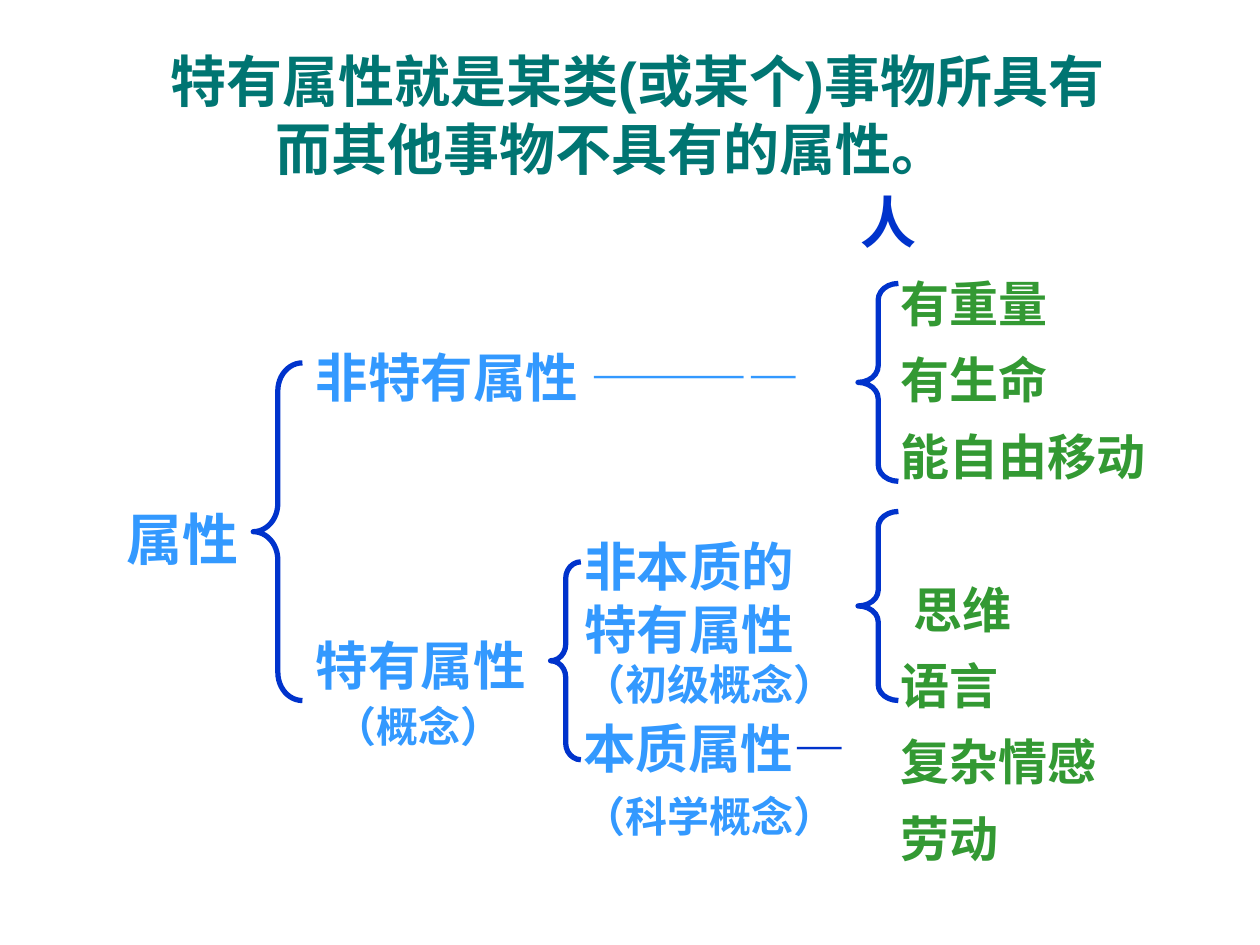
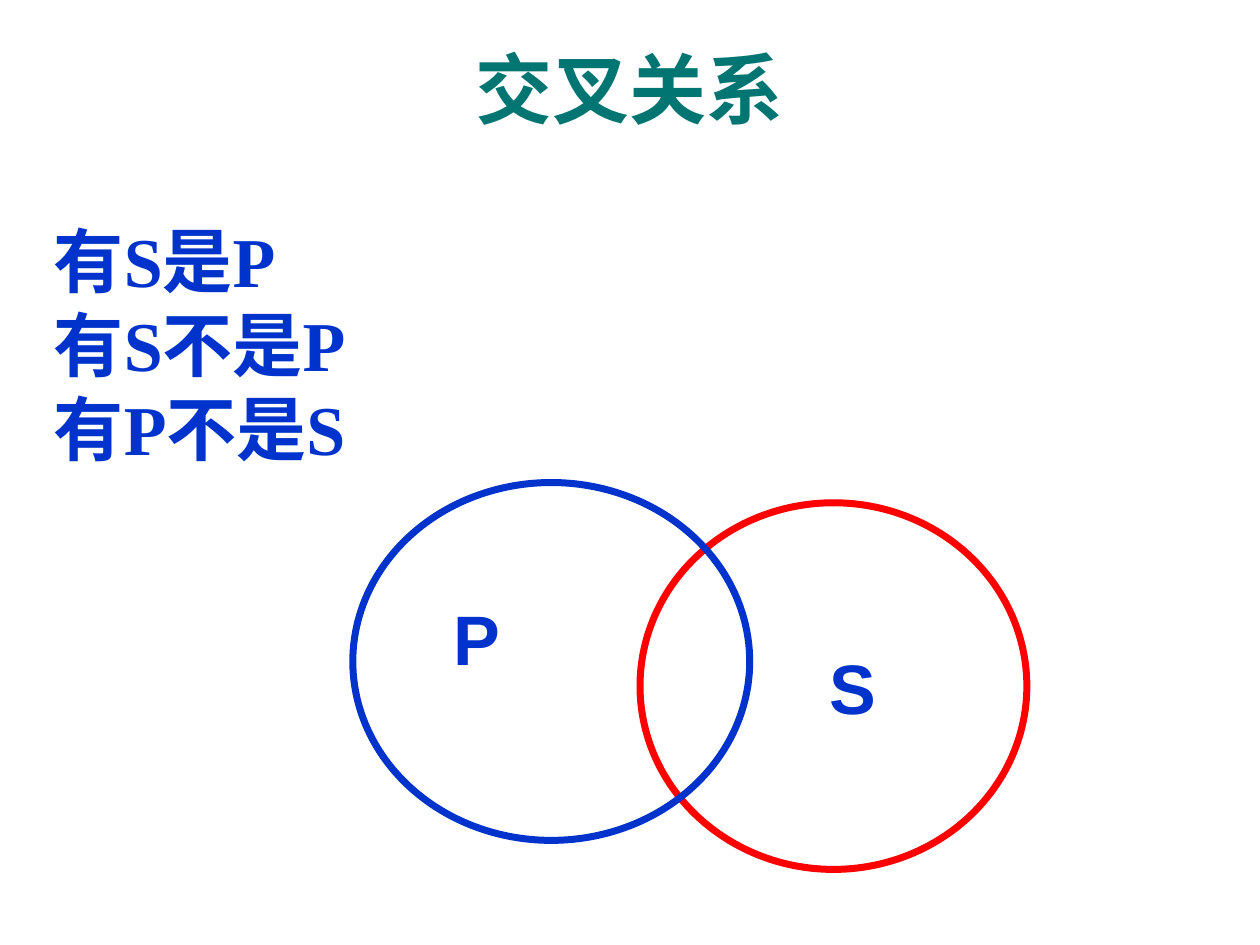
import pptx
import pptx.util
import pptx.dml.color
import pptx.enum.shapes
import pptx.enum.text
import lxml.etree

Inches, Pt = pptx.util.Inches, pptx.util.Pt
SHAPE = pptx.enum.shapes.MSO_SHAPE
ALIGN = pptx.enum.text.PP_ALIGN
ANCHOR = pptx.enum.text.MSO_ANCHOR
FIT = pptx.enum.text.MSO_AUTO_SIZE
HANS, SERIF, SANS = "Noto Sans CJK SC", "Times New Roman", "Arial"
HUES = {"teal": "007572", "navy": "0033CC", "sky": "3399FF",
        "green": "339933", "red": "FF0000"}


def color(name):
    return pptx.dml.color.RGBColor.from_string(HUES[name])


def write(para, text, size, hue, face=SERIF):
    """Add one bold run, with its Chinese glyphs set in HANS."""
    run = para.add_run()
    run.text = text
    run.font.size, run.font.bold, run.font.name = Pt(size), True, face
    run.font.color.rgb = color(hue)
    tag = pptx.oxml.ns.qn("a:ea")
    lxml.etree.SubElement(run.font._element, tag).set("typeface", HANS)


deck = pptx.Presentation()
deck.slide_width, deck.slide_height = Inches(10), Inches(7.5)

# Slides and titles: place, size, font, lines of (text, left and right margin)
titles = [
    ((0.67, 0.28, 8.5, 1.25), 32, SANS,
     [("特有属性就是某类(或某个)事物所具有", 0.28, 0),
      ("而其他事物不具有的属性。", 0, 0.13)]),
    ((0.33, 0, 9.34, 1.39), 44, SERIF, [("交叉关系", 0, 0)]),
]
slides = []
for place, size, face, lines in titles:
    slide = deck.slides.add_slide(deck.slide_layouts[5])
    slides.append(slide)
    title = slide.shapes.title
    title.left, title.top, title.width, title.height = map(Inches, place)
    frame = title.text_frame
    frame.auto_size, frame.word_wrap = FIT.NONE, True
    frame.vertical_anchor = ANCHOR.MIDDLE
    for i, (text, left, right) in enumerate(lines):
        para = frame.add_paragraph() if i else frame.paragraphs[0]
        para.alignment = ALIGN.CENTER
        props = para._p.get_or_add_pPr()
        props.set("marL", str(Inches(left)))
        props.set("marR", str(Inches(right)))
        write(para, text, size, "teal", face)
tree, cross = slides

# Braces of the tree; each bend is a twelfth of the height
for x, y, w, h in [(2.01, 2.88, 0.39, 2.68), (6.81, 2.25, 0.32, 1.57),
                   (6.81, 4.06, 0.32, 1.5), (4.37, 4.46, 0.24, 1.57)]:
    brace = tree.shapes.add_shape(SHAPE.LEFT_BRACE, Inches(x), Inches(y),
                                  Inches(w), Inches(h))
    brace.adjustments[0] = h / 12 / w
    brace.shadow.inherit = False
    brace.fill.background()
    brace.line.color.rgb, brace.line.width = color("navy"), Pt(3)

# Circles of the cross relation
for place, hue in [((5.08, 3.99, 3.07, 2.91), "red"),
                   ((2.8, 3.83, 3.15, 2.84), "navy")]:
    ring = cross.shapes.add_shape(SHAPE.OVAL, *map(Inches, place))
    ring.shadow.inherit = False
    ring.fill.background()
    ring.line.color.rgb, ring.line.width = color(hue), Pt(4)
    if hue == "red":
        frame = ring.text_frame
        frame.vertical_anchor = ANCHOR.MIDDLE
        frame.margin_left = Inches(0.41)
        frame.paragraphs[0].alignment = ALIGN.CENTER
        write(frame.paragraphs[0], "S", 40, "navy", SANS)

# Labels: slide, place, size, colour, font, line pitch in ems, lines
labels = [
    (tree, (2.41, 2.65, 4.3, 0.6), 30, "sky", SERIF, 1.2, ["非特有属性 "]),
    (tree, (2.41, 4.93, 2.66, 0.6), 30, "sky", SERIF, 1.2, ["特有属性"]),
    (tree, (0.91, 3.91, 1.73, 0.64), 32, "sky", SERIF, 1.2, ["属性"]),
    (tree, (4.54, 4.15, 2.1, 1.1), 30, "sky", SERIF, 1.2,
     ["非本质的", "特有属性"]),
    (tree, (4.53, 5.59, 3.62, 0.6), 30, "sky", SERIF, 1.2, ["本质属性"]),
    (tree, (4.53, 6.19, 2.4, 0.5), 24, "sky", SERIF, 1.2, ["（科学概念）"]),
    (tree, (4.53, 5.14, 2.4, 0.5), 24, "sky", SERIF, 1.2, ["（初级概念）"]),
    (tree, (2.56, 5.48, 1.8, 0.5), 24, "sky", SERIF, 1.2, ["（概念）"]),
    (tree, (7.05, 1.94, 2.3, 4.96), 28, "green", SERIF, 1.56,
     ["有重量", "有生命", "能自由移动", "思维", "语言", "复杂情感", "劳动"]),
    (tree, (6.73, 1.39, 1, 0.6), 32, "navy", HANS, 1.2, ["人"]),
    (cross, (0.33, 1.62, 9.34, 2.2), 40, "navy", SERIF, 1.2,
     ["有S是P", "有S不是P", "有P不是S"]),
    (cross, (3.5, 4.62, 0.94, 0.77), 40, "navy", SANS, 1.2, ["P"]),
]
dashes = {"非特有属性 ": ("————", "sky"), "本质属性": ("—", "navy")}
for slide, place, size, hue, face, pitch, lines in labels:
    frame = slide.shapes.add_textbox(*map(Inches, place)).text_frame
    frame.word_wrap = True
    frame.margin_top = Inches(0.05) + Pt(size * 0.1)
    for i, text in enumerate(lines):
        para = frame.add_paragraph() if i else frame.paragraphs[0]
        para.line_spacing = Pt(size * pitch)
        write(para, text, size, hue, face)
        if text in dashes:
            dash, tint = dashes[text]
            write(para, dash, size, tint, HANS)
        if text == "思维":
            para.space_before = Pt(size * pitch)
            para._p.get_or_add_pPr().set("marL", str(Inches(0.1)))

deck.save("out.pptx")
